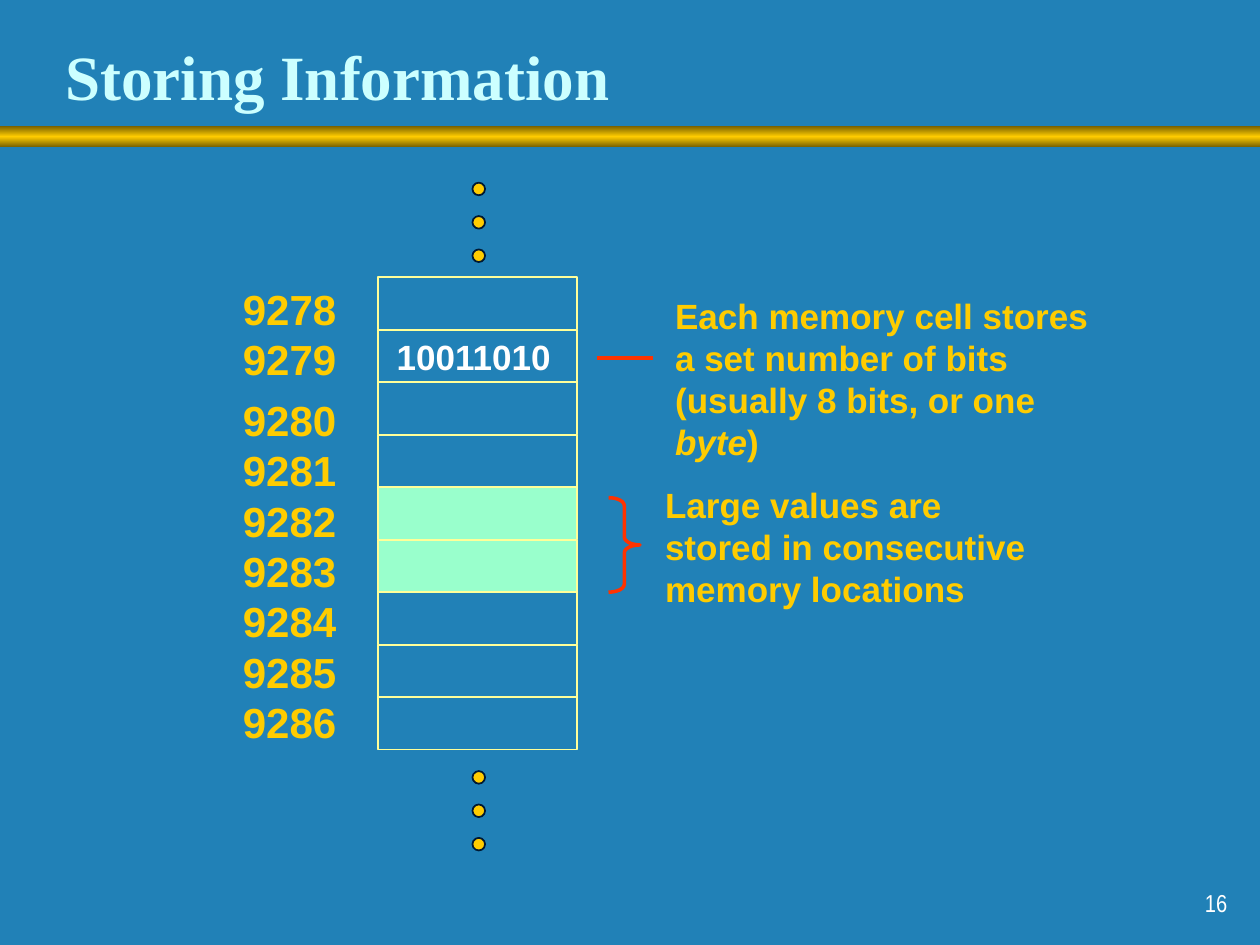
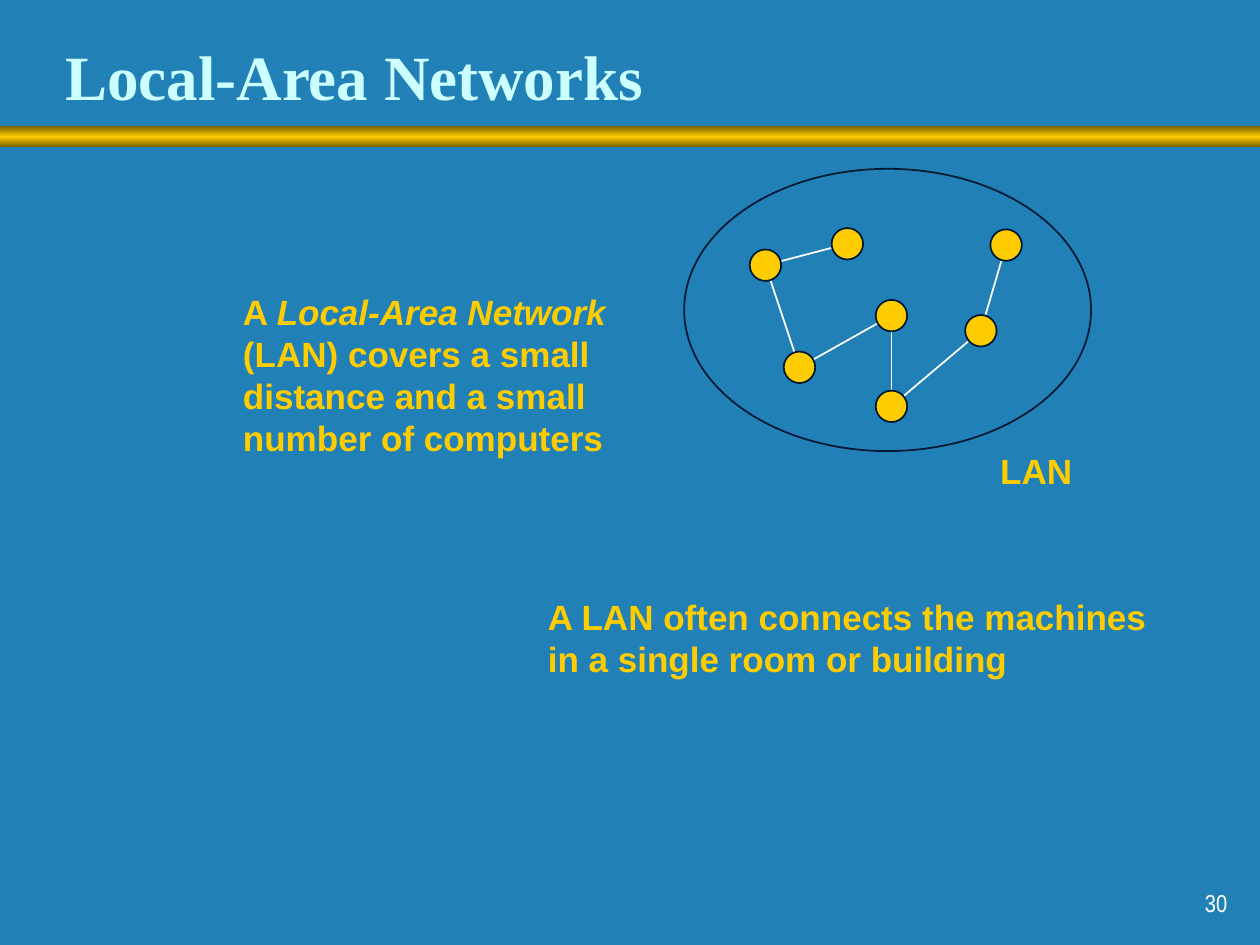
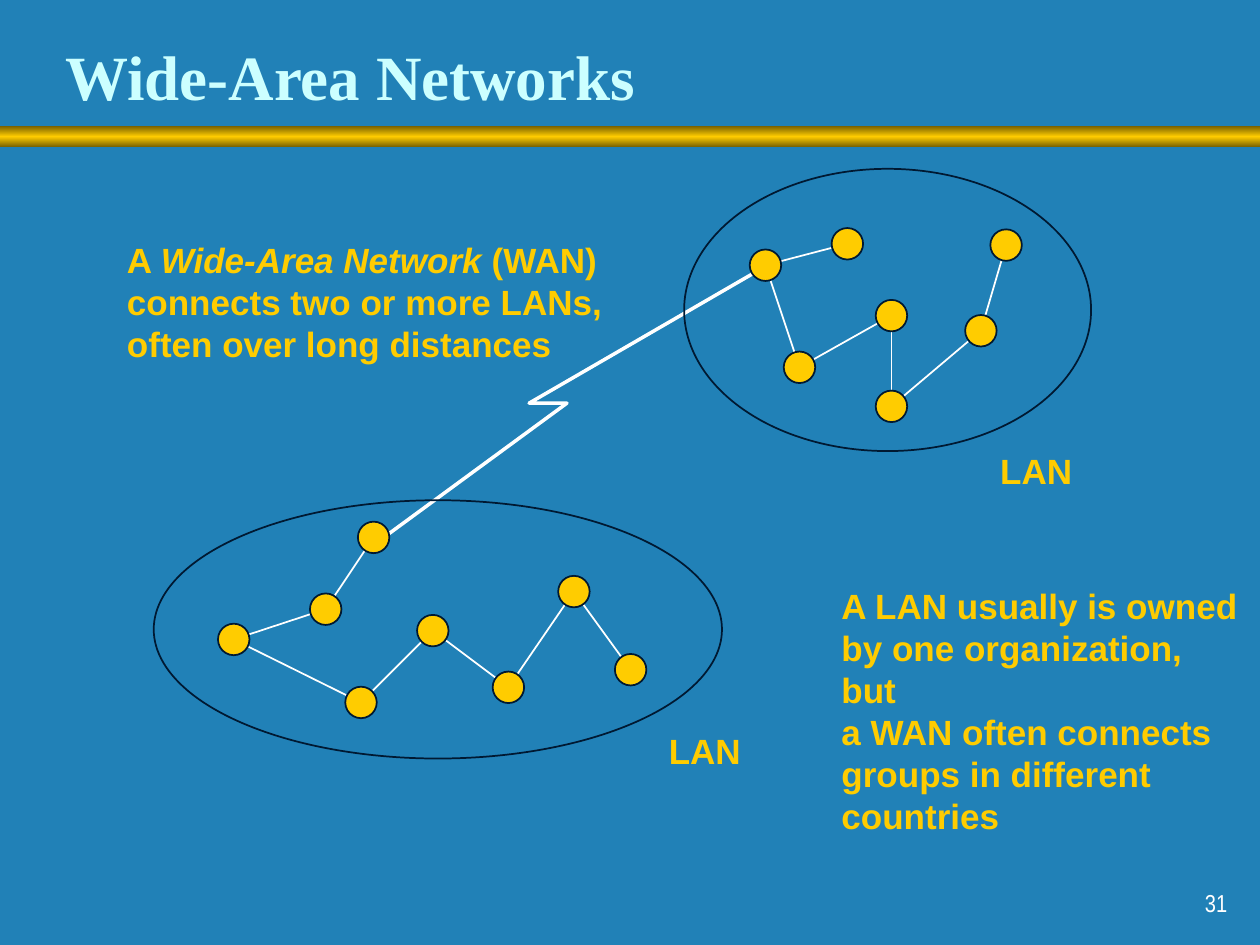
from copy import deepcopy
from dataclasses import dataclass
from itertools import pairwise

from lxml.etree import SubElement
from pptx import Presentation
from pptx.dml.color import RGBColor
from pptx.enum.shapes import MSO_CONNECTOR, MSO_SHAPE
from pptx.enum.text import MSO_ANCHOR, MSO_AUTO_SIZE, PP_ALIGN
from pptx.oxml.ns import qn
from pptx.util import Inches, Pt


@dataclass(frozen=True)
class TextStyle:
    """Font, size, colour and weight of a kind of text."""
    font: str
    size: float
    color: str
    bold: bool = True


@dataclass(frozen=True)
class Theme:
    """Colours, line widths and type styles of the deck."""
    background: str = "2181B7"
    gold: str = "FFCC00"
    dark_gold: str = "755E00"
    outline: str = "001932"
    cell_line: str = "FFFF99"
    highlight: str = "99FFCC"
    accent: str = "FF3300"
    white: str = "FFFFFF"
    thin: float = 1
    thick: float = 2
    title = TextStyle("Times New Roman", 36, "CCFFFF")
    body = TextStyle("Arial", 20, "FFCC00")
    address = TextStyle("Arial", 24, "FFCC00")
    bits = TextStyle("Arial", 20, "FFFFFF")
    number = TextStyle("Arial Narrow", 14, "FFFFFF", False)


@dataclass(frozen=True)
class Box:
    """An area in grid units, on a slide of 100 columns and 75 rows."""
    left: float
    top: float
    width: float
    height: float

    def area(self, column, row, width, height):
        """Return an area placed from this box's corner."""
        return Box(self.left + column, self.top + row, width, height)

    def point(self, column, row):
        """Return slide coordinates of a point in this box."""
        return self.left + column, self.top + row

    def around(self, center, size):
        """Return a square about a point of this box."""
        column, row = center
        return self.area(column - size / 2, row - size / 2, size, size)

    def lengths(self):
        """Return the area in slide units."""
        return [grid(value) for value in (self.left, self.top, self.width, self.height)]


THEME = Theme()
SLIDE = Box(0, 0, 100, 75)
NODE_SIZE = 2.5
DOT_SIZE = 1
DOT_STEP = 2.65
UPPER_LAN = SLIDE.area(54.3, 13.4, 32.3, 22.4)
UPPER_CHAIN = [(12.95, 5.95), (6.45, 7.65), (9.15, 15.75), (16.45, 11.65),
               (16.45, 18.85), (23.55, 12.85), (25.55, 6.05)]
LOWER_LAN = SLIDE.area(12.2, 39.7, 45.1, 20.5)
LOWER_CHAIN = [(17.45, 2.95), (13.65, 8.65), (6.35, 11.05), (16.45, 16.05),
               (22.15, 10.35), (28.15, 14.85), (33.35, 7.25), (37.85, 13.45)]


def grid(units):
    """Turn grid units into a slide length."""
    return Inches(units / 10)


def rgb(color):
    """Turn a hex string into a colour."""
    return RGBColor.from_string(color)


def set_line(item, color, width=THEME.thin):
    """Set the outline of a shape or connector."""
    item.line.color.rgb = rgb(color)
    item.line.width = Pt(width)


def add_figure(page, kind, box, fill=None, line=None, width=THEME.thin):
    """Add a flat preset shape."""
    figure = page.shapes.add_shape(kind, *box.lengths())
    figure.shadow.inherit = False
    if fill:
        figure.fill.solid()
        figure.fill.fore_color.rgb = rgb(fill)
    else:
        figure.fill.background()
    if line:
        set_line(figure, line, width)
    else:
        figure.line.fill.background()
    return figure


def add_line(page, start, end, color, width=THEME.thin):
    """Add a straight line without a shadow."""
    ends = [grid(value) for value in (*start, *end)]
    line = page.shapes.add_connector(MSO_CONNECTOR.STRAIGHT, *ends)
    set_line(line, color, width)
    SubElement(line._element.spPr, qn("a:effectLst"))


def add_text(page, box, lines, style=THEME.body, wrap=False,
             anchor=MSO_ANCHOR.TOP, align=PP_ALIGN.LEFT):
    """Add lines of spans, where every second span is italic."""
    frame = page.shapes.add_textbox(*box.lengths()).text_frame
    frame.word_wrap = wrap
    frame.auto_size = MSO_AUTO_SIZE.NONE if wrap else MSO_AUTO_SIZE.SHAPE_TO_FIT_TEXT
    frame.vertical_anchor = anchor
    for index, spans in enumerate(lines):
        para = frame.add_paragraph() if index else frame.paragraphs[0]
        para.alignment = align
        for position, words in enumerate(spans):
            span = para.add_run()
            span.text = words
            span.font.name = style.font
            span.font.size = Pt(style.size)
            span.font.color.rgb = rgb(style.color)
            span.font.bold = style.bold
            span.font.italic = position % 2 == 1
    return frame


def add_band(page, box):
    """Add the golden band under the title."""
    band = add_figure(page, MSO_SHAPE.RECTANGLE, box)
    band.fill.gradient()
    band.fill.gradient_angle = 90
    stop_list = band._element.spPr.find(qn("a:gradFill")).find(qn("a:gsLst"))
    stop_list.insert(1, deepcopy(stop_list[0]))
    colors = (THEME.dark_gold, THEME.gold, THEME.dark_gold)
    for stop, position, color in zip(band.fill.gradient_stops, (0, 0.5, 1), colors):
        stop.position = position
        stop.color.rgb = rgb(color)


def add_page(deck, title, number):
    """Add a slide with its background, band, title and number."""
    page = deck.slides.add_slide(deck.slide_layouts[6])
    page.background.fill.solid()
    page.background.fill.fore_color.rgb = rgb(THEME.background)
    add_band(page, SLIDE.area(0, 10, 100, 1.7))
    add_text(page, SLIDE.area(4.2, 2.2, 85.5, 7.5), [[title]], THEME.title,
             wrap=True, anchor=MSO_ANCHOR.MIDDLE)
    add_text(page, SLIDE.area(77.6, 68.3, 20.8, 5), [[str(number)]], THEME.number,
             wrap=True, anchor=MSO_ANCHOR.BOTTOM, align=PP_ALIGN.RIGHT)
    return page


def add_dots(page, box):
    """Add three dots, one below another."""
    for index in range(3):
        dot = box.area(0, index * DOT_STEP, DOT_SIZE, DOT_SIZE)
        add_figure(page, MSO_SHAPE.OVAL, dot, THEME.gold, THEME.outline)


def add_memory(page, box):
    """Add the column of memory cells with addresses and dots."""
    addresses = range(9278, 9287)
    row_height = box.height / len(addresses)
    for index, address in enumerate(addresses):
        cell = box.area(0, index * row_height, box.width, row_height)
        fill = THEME.highlight if address in (9282, 9283) else None
        add_figure(page, MSO_SHAPE.RECTANGLE, cell, fill, THEME.cell_line)
    labels = add_text(page, box.area(-11.7, 0, 9.4, 37.8),
                      [[str(address)] for address in addresses], THEME.address)
    labels.paragraphs[2].line_spacing = 1.2
    add_text(page, box.area(0.5, 4.1, 14.4, 4.4), [["10011010"]], THEME.bits)
    for row in (-7.5, 39.2):
        add_dots(page, box.area(7.5, row, DOT_SIZE, DOT_SIZE))


def add_memory_notes(page, box):
    """Add the two remarks beside the memory cells."""
    add_line(page, box.point(0, 6.4), box.point(4.4, 6.4), THEME.accent, THEME.thick)
    add_text(page, box.area(5.2, 0.9, 35.7, 14.4),
             [["Each memory cell stores a set number of bits (usually 8 bits, or one ",
               "byte", ")"]], wrap=True)
    brace = add_figure(page, MSO_SHAPE.RIGHT_BRACE, box.area(0.9, 17.5, 2.5, 7.5),
                       line=THEME.accent, width=THEME.thick)
    brace.adjustments[0] = 0.25
    add_text(page, box.area(4.4, 15.9, 30.6, 11),
             [["Large values are"], ["stored in consecutive"], ["memory locations"]])


def add_network(page, box, chain, label):
    """Add an oval with a chain of linked nodes and its label."""
    for start, end in pairwise(chain):
        add_line(page, box.point(*start), box.point(*end), THEME.white)
    for center in chain:
        add_figure(page, MSO_SHAPE.OVAL, box.around(center, NODE_SIZE),
                   THEME.gold, THEME.outline)
    add_figure(page, MSO_SHAPE.OVAL, box, line=THEME.outline)
    add_text(page, box.area(*label, 7.7, 4.3), [["LAN"]])


def add_upper_network(page):
    """Add the network that both network slides show."""
    add_network(page, UPPER_LAN, UPPER_CHAIN, (24.1, 21.8))


def add_long_link(page, start, end):
    """Add the jagged link between two networks."""
    builder = page.shapes.build_freeform(*start, scale=float(grid(1)))
    builder.add_line_segments([(45.3, 32), (41.7, 32), end], close=False)
    link = builder.convert_to_shape()
    link.shadow.inherit = False
    link.fill.background()
    set_line(link, THEME.white, THEME.thick)


def build_memory_page(deck):
    """Build the slide on storing information."""
    page = add_page(deck, "Storing Information", 16)
    add_memory(page, SLIDE.area(30, 22, 15.8, 37.5))
    add_memory_notes(page, SLIDE.area(47.4, 22, 41, 37.5))


def build_local_page(deck):
    """Build the slide on local-area networks."""
    page = add_page(deck, "Local-Area Networks", 30)
    add_upper_network(page)
    add_text(page, SLIDE.area(18.3, 22.6, 30.9, 14.4),
             [["A ", "Local-Area Network"], ["(LAN) covers a small"],
              ["distance and a small"], ["number of computers"]])
    add_text(page, SLIDE.area(42.5, 46.8, 49.6, 7.7),
             [["A LAN often connects the machines"], ["in a single room or building"]])


def build_wide_page(deck):
    """Build the slide on wide-area networks."""
    page = add_page(deck, "Wide-Area Networks", 31)
    add_long_link(page, LOWER_LAN.point(*LOWER_CHAIN[0]), UPPER_LAN.point(*UPPER_CHAIN[1]))
    add_network(page, LOWER_LAN, LOWER_CHAIN, (39.9, 17.7))
    add_text(page, SLIDE.area(9.1, 18.4, 39.7, 11),
             [["A ", "Wide-Area Network", " (WAN)"], ["connects two or more LANs,"],
              ["often over long distances"]])
    add_text(page, SLIDE.area(65.8, 45.9, 34.1, 17.7),
             [["A LAN usually is owned"], ["by one organization, but"],
              ["a WAN often connects"], ["groups in different"], ["countries"]])
    add_upper_network(page)


def main():
    """Build and save the deck."""
    deck = Presentation()
    deck.slide_width = grid(SLIDE.width)
    deck.slide_height = grid(SLIDE.height)
    for build in (build_memory_page, build_local_page, build_wide_page):
        build(deck)
    deck.save("out.pptx")


if __name__ == "__main__":
    main()
